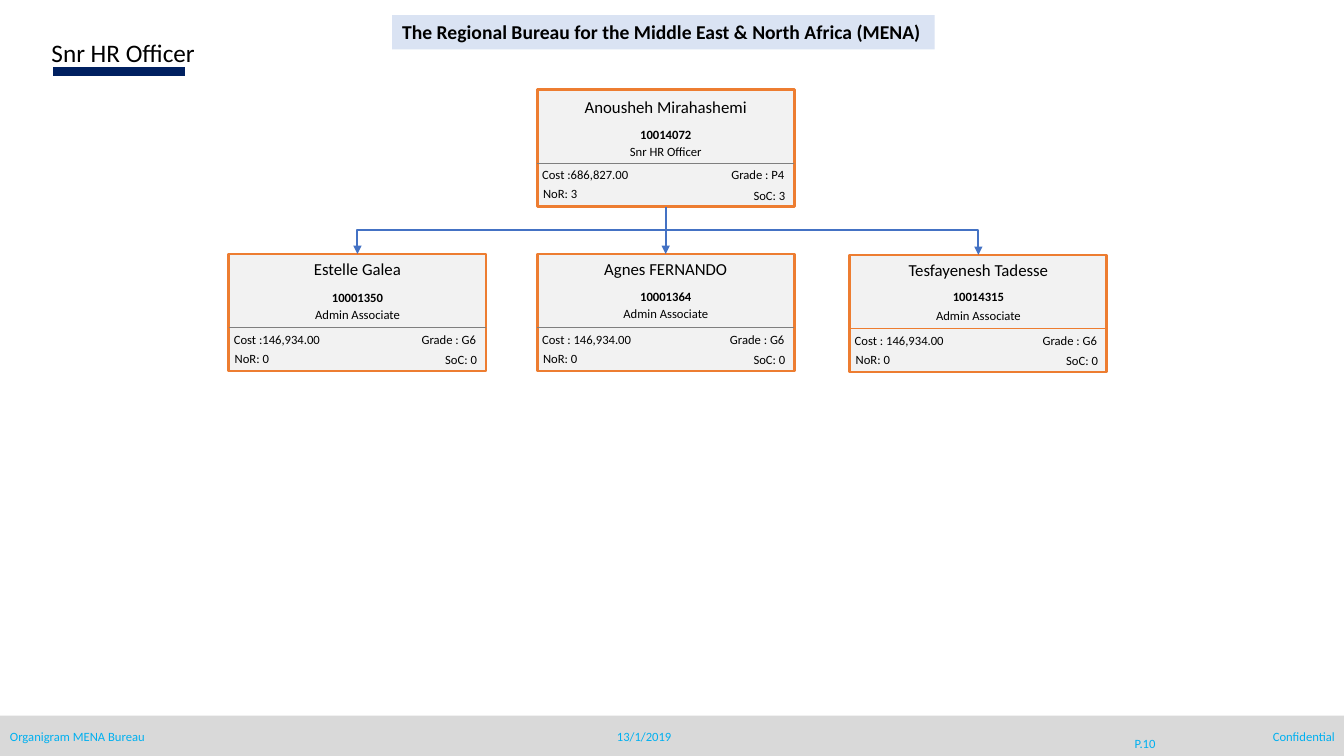
from lxml.etree import SubElement
from pptx import Presentation
from pptx.dml.color import RGBColor as RGB
from pptx.enum.shapes import MSO_CONNECTOR as LINK, MSO_SHAPE as SHAPE
from pptx.enum.text import MSO_ANCHOR as ANCHOR, MSO_AUTO_SIZE as FIT, PP_ALIGN as ALIGN
from pptx.oxml.ns import qn
from pptx.util import Inches, Pt

COLORS = {
    "ink": "000000", "navy": "002060", "bar": "D9D9D9", "footer": "00B0F0",
    "card": "F2F2F2", "orange": "ED7D31", "gray": "7F7F7F",
    "arrow": "4472C4", "banner": "DAE3F3",
}
CARD_W, CARD_H = 19.13, 15.47
BUS_Y = 30.4
FACTS = [
    (-0.37, 9.6, 9.22, ALIGN.LEFT),
    (9.98, 9.6, 9.15, ALIGN.RIGHT),
    (-0.3, 12.13, 5.92, ALIGN.LEFT),
    (11.55, 12.27, 7.65, ALIGN.RIGHT),
]
LEAD = (39.97, 11.87, (0.27, 4.27, 6.53), "gray",
        ("Anousheh Mirahashemi", "10014072", "Snr HR Officer"),
        ("Cost :686,827.00", "Grade : P4", "NoR: 3", "SoC: 3"))
TEAM = [
    (17.03, 33.6, (0, 4.13, 6.4), "gray",
     ("Estelle Galea", "10001350", "Admin Associate"),
     ("Cost :146,934.00", "Grade : G6", "NoR: 0", "SoC: 0")),
    (39.97, 33.6, (0, 4, 6.27), "gray",
     ("Agnes FERNANDO", "10001364", "Admin Associate"),
     ("Cost : 146,934.00", "Grade : G6", "NoR: 0", "SoC: 0")),
    (63.23, 33.73, (0, 3.87, 6.4), "orange",
     ("Tesfayenesh Tadesse", "10014315", "Admin Associate"),
     ("Cost : 146,934.00", "Grade : G6", "NoR: 0", "SoC: 0")),
]
FOOTER = [
    (0, 23.1, 3.33, ALIGN.LEFT, "Organigram MENA Bureau"),
    (44.63, 6.6, 3.33, ALIGN.CENTER, "13/1/2019"),
    (82.2, 6, 5.33, ALIGN.CENTER, "P.10"),
    (76.95, 23.1, 3.33, ALIGN.RIGHT, "Confidential"),
]


class Chart:
    font = {"name": "Calibri", "size": Pt(9), "bold": False}
    frame = {"word_wrap": True, "auto_size": FIT.NONE, "vertical_anchor": ANCHOR.TOP}

    def __init__(self, prs):
        self.prs = prs
        self.s = prs.slides.add_slide(prs.slide_layouts[5])

    def grid(self, x, y):
        return int(self.prs.slide_width * x / 100), int(self.prs.slide_height * y / 100)

    def box(self, x, y, w, h):
        return *self.grid(x, y), *self.grid(w, h)

    def color(self, name):
        return RGB.from_string(COLORS[name])

    def label(self, sp, text, align=ALIGN.LEFT, color="ink", frame=None, **font):
        tf = sp.text_frame
        for key, value in {**self.frame, **(frame or {})}.items():
            setattr(tf, key, value)
        p = tf.paragraphs[0]
        p.alignment = align
        r = p.add_run()
        r.text = text
        for key, value in {**self.font, **font}.items():
            setattr(r.font, key, value)
        r.font.color.rgb = self.color(color)

    def title(self, box, text, **font):
        sp = self.s.shapes.title
        sp.left, sp.top, sp.width, sp.height = self.box(*box)
        self.label(sp, text, **font)

    def text(self, box, text, *args, **kwargs):
        self.label(self.s.shapes.add_textbox(*self.box(*box)), text, *args, **kwargs)

    def rect(self, box, fill, line=None):
        sp = self.s.shapes.add_shape(SHAPE.RECTANGLE, *self.box(*box))
        sp.shadow.inherit = False
        sp.fill.solid()
        sp.fill.fore_color.rgb = self.color(fill)
        if line:
            sp.line.color.rgb = self.color(line)
            sp.line.width = Pt(2)
        else:
            sp.line.fill.background()
        return sp

    def line(self, start, end, color, width, kind=LINK.STRAIGHT, arrow=False):
        c = self.s.shapes.add_connector(kind, *self.grid(*start), *self.grid(*end))
        c.line.color.rgb = self.color(color)
        c.line.width = Pt(width)
        if arrow:
            SubElement(c._element.spPr.find(qn("a:ln")), qn("a:tailEnd"), type="triangle")
        SubElement(c._element.spPr, qn("a:effectLst"))
        return c

    def card(self, x, y, rows, rule, person, facts):
        sp = self.rect((x, y, CARD_W, CARD_H), "card", "orange")
        styles = [{"size": Pt(12)}, {"bold": True}, {}]
        for dy, text, style in zip(rows, person, styles):
            self.text((x, y + dy, CARD_W, 3.33), text, ALIGN.CENTER, **style)
        self.line((x, y + 9.73), (x + CARD_W, y + 9.73), rule, 1 if rule == "orange" else 0.75)
        for (dx, dy, w, align), text in zip(FACTS, facts):
            self.text((x + dx, y + dy, w, 3.33), text, align)
        return sp

    def report(self, lead, member, x, y):
        middle = LEAD[0] + CARD_W / 2
        top = x + CARD_W / 2, y
        if x == LEAD[0]:
            c = self.line((middle, LEAD[1] + CARD_H), top, "arrow", 1.5, arrow=True)
            c.begin_connect(lead, 2)
        else:
            c = self.line((middle, BUS_Y), top, "arrow", 1.5, LINK.ELBOW, True)
            c._element.spPr.find(qn("a:prstGeom")).set("prst", "bentConnector2")
        c.end_connect(member, 0)


def main():
    prs = Presentation()
    prs.slide_width, prs.slide_height = Inches(13.33), Inches(7.5)
    chart = Chart(prs)

    chart.line((3.98, 9.47), (13.8, 9.47), "navy", 7)
    chart.rect((0, 94.67, 100, 5.33), "bar")
    for x, w, h, align, text in FOOTER:
        chart.text((x, 95.73, w, h), text, align, "footer",
                   {"vertical_anchor": ANCHOR.MIDDLE})

    chart.title((3.08, 4.27, 39.76, 5.47), "Snr HR Officer", size=Pt(18))
    banner = chart.rect((29.18, 2, 40.36, 4.53), "banner")
    chart.label(banner, "The Regional Bureau for the Middle East & North Africa (MENA)",
                frame={"word_wrap": False}, size=Pt(14), bold=True)

    lead = chart.card(*LEAD)
    for member in TEAM:
        chart.report(lead, chart.card(*member), *member[:2])

    prs.save("out.pptx")


if __name__ == "__main__":
    main()
